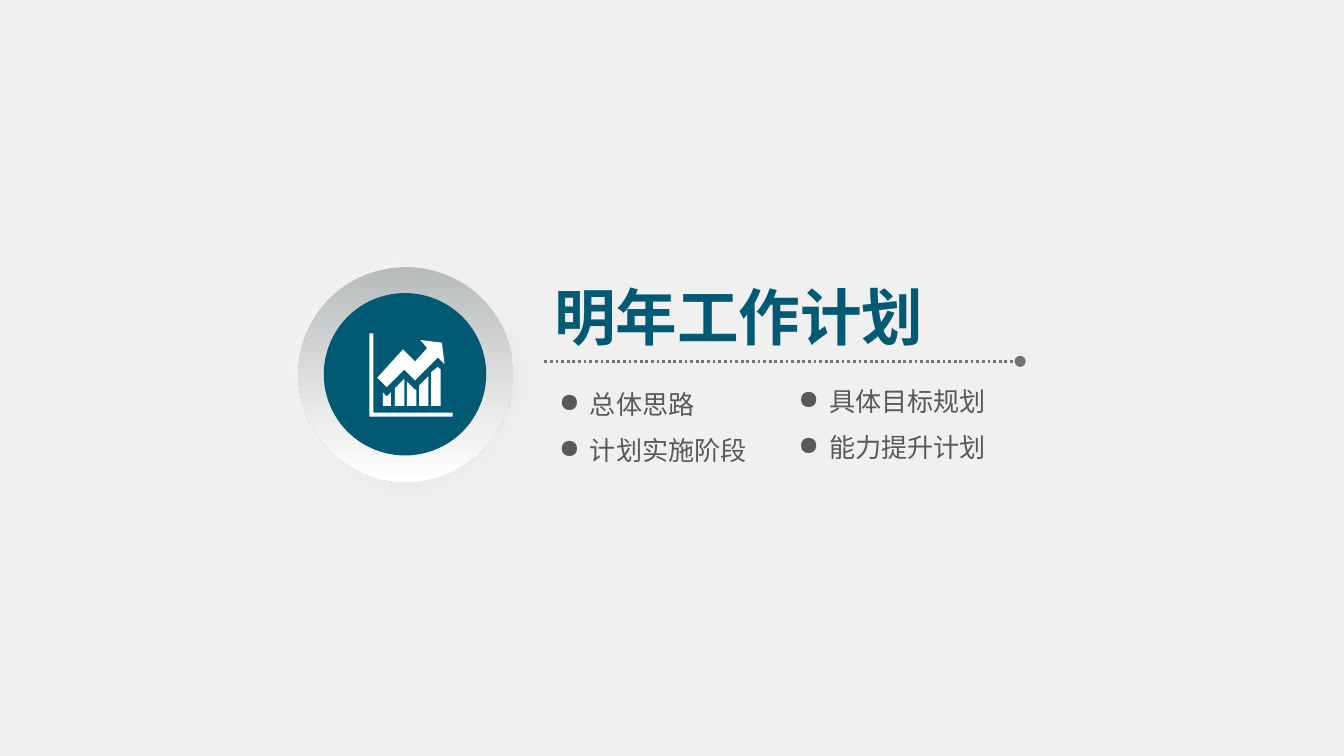
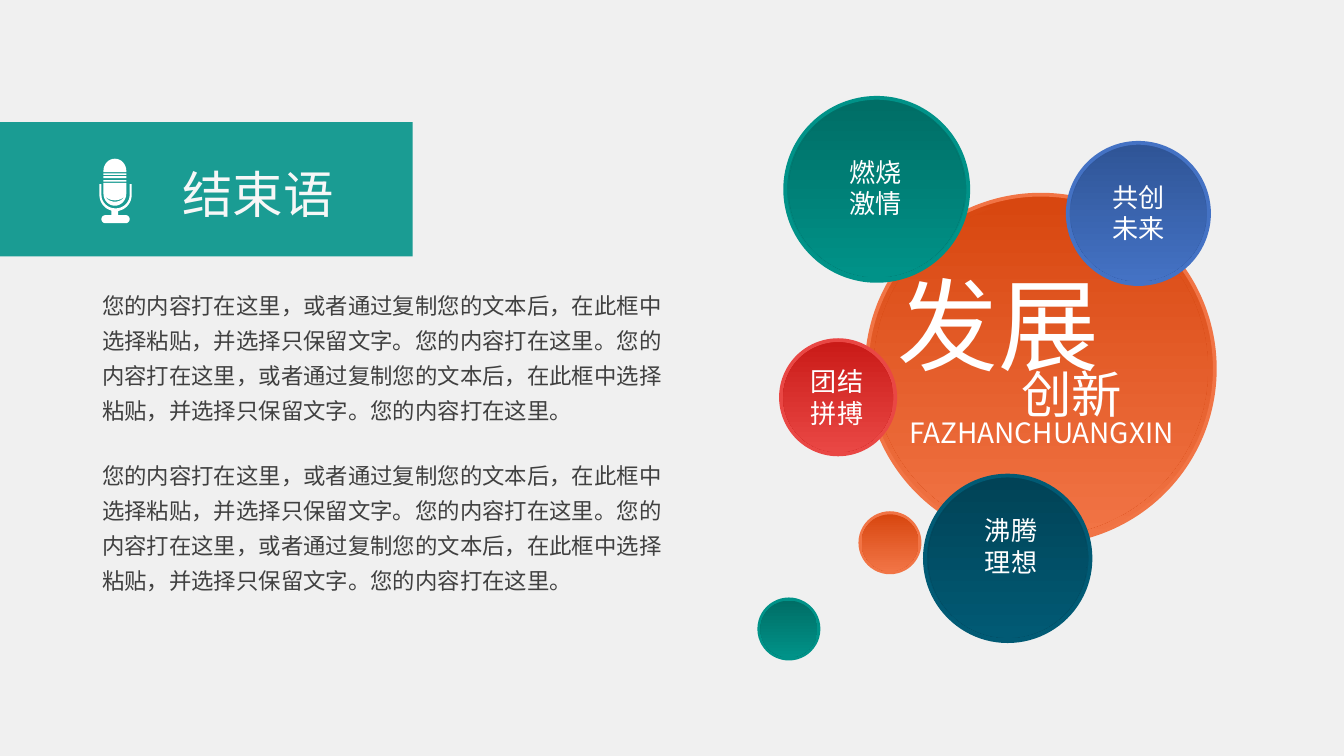
"""Build a section slide and a closing slide in one shared style."""
from dataclasses import dataclass
from math import cos, radians, sin

from lxml.etree import SubElement
from pptx import Presentation
from pptx.dml.color import RGBColor as RGB
from pptx.enum.dml import MSO_LINE as Dash
from pptx.enum.shapes import MSO_CONNECTOR as Conn, MSO_SHAPE as Shape
from pptx.enum.text import MSO_ANCHOR as Anchor, MSO_AUTO_SIZE as Auto, PP_ALIGN as Align
from pptx.oxml.ns import qn
from pptx.util import Cm, Pt


@dataclass(frozen=True)
class Theme:
    font: str = "Noto Sans CJK SC"
    paper: str = "F0F0F0"
    white: str = "FFFFFF"
    off_white: str = "F7F7F7"
    rule: str = "767171"
    item: str = "595959"
    body: str = "404040"
    halo: tuple = ("D9D9D9", "FFFFFF")
    ring: tuple = ("B8BBBC", "FFFFFF")
    orange: tuple = ("D84710", "F17445")
    blue: tuple = ("2F5597", "4472C4")
    teal: tuple = ("006E66", "009288")
    navy: tuple = ("014357", "015A74")
    red: tuple = ("CA1B18", "E94744")
    section_size: int = 33
    title_size: int = 27
    hero_size: int = 54
    caption_size: int = 15
    label_size: int = 14
    body_size: int = 12


def arc(cx, cy, rx, ry, start, end, steps=16):
    angles = [radians(start + (end - start) * i / steps) for i in range(steps + 1)]
    return [(cx + rx * cos(a), cy + ry * sin(a)) for a in angles]


def rect(left, top, right, bottom):
    return [(left, top), (right, top), (right, bottom), (left, bottom)]


CHART_ICON = [
    [(10, 44), (13, 47), (16, 44), (16, 54), (10, 54)],
    [(28, 36), (34, 42), (35, 42), (35, 54), (28, 54)],
    [(26, 34), (26, 54), (19, 54), (19, 41)],
    [(44, 32), (44, 54), (37, 54), (37, 39)],
    [(51, 25), (53, 27), (53, 54), (46, 54), (46, 29)],
    [(38, 5), (54, 7), (56, 23), (51, 18), (34, 35), (26, 27), (13, 40),
     (6, 33), (25, 12), (34, 21), (43, 11)],
    [(0, 0), (3, 0), (3, 59), (62, 59), (62, 62), (0, 62)],
]

MIC_ICON = [
    arc(11.5, 9, 8.5, 9, 180, 360) + [(20, 10), (3, 10)],
    rect(3, 11, 20, 12),
    rect(3, 13, 20, 14.5),
    rect(3, 16, 20, 17),
    [(3, 18), (20, 18)] + arc(11.5, 26, 8.5, 9, 0, 180),
    arc(11.5, 26, 7.5, 6, 180, 0) + arc(11.5, 26, 7.5, 5, 0, 180),
    [(0, 19), (1.5, 19)] + arc(12, 27, 10.5, 10, 180, 0) + [(22.5, 19), (24, 19)]
    + arc(12, 27, 12, 12, 0, 75) + [(14, 39), (14, 42)] + arc(19.5, 45, 3, 3, -90, 90)
    + arc(4.5, 45, 3, 3, 90, 270) + [(9, 42), (9, 39)] + arc(12, 27, 12, 12, 105, 180),
]


class Deck:
    def __init__(self, theme):
        self.theme = theme
        self.prs = Presentation()
        self.prs.slide_width, self.prs.slide_height = Cm(25.4), Cm(14.29)
        fill = self.prs.slide_master.background.fill
        fill.solid()
        fill.fore_color.rgb = RGB.from_string(theme.paper)
        self.s = None

    def new_slide(self):
        self.s = self.prs.slides.add_slide(self.prs.slide_layouts[5])

    def set_text(self, sp, text, size, color, bold=False, align=Align.LEFT, wrap=True,
                 inset=(0.25, 0.13), spacing=None, bullet=None):
        tf = sp.text_frame
        tf.text = text
        tf.word_wrap, tf.auto_size = wrap, Auto.SHAPE_TO_FIT_TEXT
        tf.vertical_anchor = Anchor.TOP
        tf.margin_left = tf.margin_right = Cm(inset[0])
        tf.margin_top = tf.margin_bottom = Cm(inset[1])
        for p in tf.paragraphs:
            p.alignment = align
            if spacing:
                p.line_spacing = spacing
            if bullet:
                pPr = p._p.get_or_add_pPr()
                pPr.set("marL", str(Cm(0.58)))
                pPr.set("indent", str(-Cm(0.58)))
                SubElement(pPr, qn("a:buChar")).set("char", bullet)
            for r in p.runs:
                r.font.name, r.font.size, r.font.bold = self.theme.font, Pt(size), bold
                r.font.color.rgb = RGB.from_string(color)
                SubElement(r._r.get_or_add_rPr(), qn("a:ea")).set("typeface", self.theme.font)

    def title(self, x, y, w, h, text, size, color, **style):
        sp = self.s.shapes.title
        sp.left, sp.top, sp.width, sp.height = Cm(x), Cm(y), Cm(w), Cm(h)
        self.s.shapes._spTree.append(sp._element)
        self.set_text(sp, text, size, color, wrap=False, **style)

    def text(self, x, y, w, h, text, size, color, **style):
        sp = self.s.shapes.add_textbox(Cm(x), Cm(y), Cm(w), Cm(h))
        self.set_text(sp, text, size, color, **style)

    def paint(self, sp, fill, line=None):
        sp.shadow.inherit = False
        if isinstance(fill, tuple):
            sp.fill.gradient()
            sp.fill.gradient_angle = 270
            for stop, color in zip(sp.fill.gradient_stops, fill):
                stop.color.rgb = RGB.from_string(color)
        else:
            sp.fill.solid()
            sp.fill.fore_color.rgb = RGB.from_string(fill)
        if line:
            sp.line.color.rgb, sp.line.width = RGB.from_string(line), Pt(2)
        else:
            sp.line.fill.background()

    def shape(self, kind, x, y, w, h, fill, line=None, adjust=None):
        sp = self.s.shapes.add_shape(kind, Cm(x), Cm(y), Cm(w), Cm(h))
        if adjust is not None:
            sp.adjustments[0] = adjust
        self.paint(sp, fill, line)
        return sp

    def band(self, x, y, w, h, fill, opacity):
        sp = self.shape(Shape.RECTANGLE, x, y, w, h, fill)
        color = sp._element.spPr.find(".//" + qn("a:srgbClr"))
        SubElement(color, qn("a:alpha")).set("val", str(opacity * 1000))

    def halo(self, x, y, d, fill):
        spPr = self.shape(Shape.OVAL, x, y, d, d, fill)._element.spPr
        grad = spPr.find(qn("a:gradFill"))
        grad.remove(grad.find(qn("a:lin")))
        radial = SubElement(grad, qn("a:path"))
        radial.set("path", "circle")
        focus = SubElement(radial, qn("a:fillToRect"))
        focus.set("l", "100000")
        focus.set("t", "100000")
        effects = spPr.find(qn("a:effectLst"))
        SubElement(effects, qn("a:softEdge")).set("rad", str(Cm(0.45)))

    def icon(self, x, y, contours, color):
        fine = [[(px * 100, py * 100) for px, py in points] for points in contours]
        builder = self.s.shapes.build_freeform(*fine[0][0], scale=Cm(0.0254) / 100)
        for points in fine:
            if points is not fine[0]:
                builder.move_to(*points[0])
            builder.add_line_segments(points[1:], close=True)
        self.paint(builder.convert_to_shape(Cm(x), Cm(y)), color)

    def dotted_rule(self, x1, x2, y, color):
        line = self.s.shapes.add_connector(Conn.STRAIGHT, Cm(x1), Cm(y), Cm(x2), Cm(y))
        line.line.color.rgb, line.line.width = RGB.from_string(color), Pt(1.5)
        line.line.dash_style = Dash.ROUND_DOT
        SubElement(line.line._get_or_add_ln(), qn("a:tailEnd")).set("type", "oval")
        SubElement(line._element.spPr, qn("a:effectLst"))

    def bubble(self, x, y, d, colors, label=None, box=None):
        gap = d * 0.02
        self.shape(Shape.DONUT, x, y, d, d, colors, line=colors[1], adjust=0.049)
        self.shape(Shape.OVAL, x + gap, y + gap, d - 2 * gap, d - 2 * gap, colors)
        if label:
            self.text(*box, 1.45, label, self.theme.label_size, self.theme.white,
                      align=Align.CENTER)


def plan_slide(deck):
    t = deck.theme
    deck.new_slide()
    deck.dotted_rule(10.29, 19.28, 6.83, t.rule)
    deck.title(10.29, 5.18, 7.44, 1.6, "明年工作计划", t.section_size, t.navy[1],
               bold=True, inset=(0.18, 0.1))
    columns = [(10.39, 7.24, ("总体思路", "计划实施阶段")),
               (14.91, 7.19, ("具体目标规划", "能力提升计划"))]
    for x, y, items in columns:
        for i, item in enumerate(items):
            deck.text(x, y + i * 0.87, 3.99, 0.79, item, t.label_size, t.item,
                      wrap=False, inset=(0.18, 0.1), bullet="●")
    deck.halo(5.11, 4.52, 5.11, t.halo)
    deck.shape(Shape.ROUNDED_RECTANGLE, 5.64, 5.05, 4.06, 4.06, t.ring, adjust=0.5)
    deck.shape(Shape.OVAL, 6.12, 5.54, 3.07, 3.07, t.navy[1])
    deck.icon(6.98, 6.3, CHART_ICON, t.white)


def closing_slide(deck):
    t = deck.theme
    deck.new_slide()
    deck.band(0, 2.31, 7.8, 2.54, t.teal[1], 89)
    deck.title(3.2, 2.95, 3.4, 1.42, "结束语", t.title_size, t.off_white)
    deck.icon(1.88, 3, MIC_ICON, t.white)

    bubbles = [
        (16.38, 3.68, 6.58, t.orange),
        (20.18, 2.7, 2.67, t.blue, "共创\n未来", (20.27, 3.3, 2.51)),
        (14.84, 1.85, 3.46, t.teal, "燃烧\n激情", (15.34, 2.82, 2.41)),
        (17.48, 8.99, 3.13, t.navy, "沸腾\n理想", (17.98, 9.6, 2.26)),
        (14.35, 11.33, 1.12, t.teal),
        (16.26, 9.7, 1.12, t.orange),
        (14.76, 6.43, 2.16, t.red, "团结\n拼搏", (14.78, 6.78, 2.08)),
    ]
    for bubble in bubbles:
        deck.bubble(*bubble)

    slogans = [
        (16.71, 4.83, 4.32, 2.54, "发展", t.hero_size),
        (19.05, 6.73, 2.41, 1.4, "创新", t.title_size),
        (16.69, 7.72, 5.99, 0.89, "FAZHANCHUANGXIN", t.caption_size),
    ]
    for slogan in slogans:
        deck.text(*slogan, t.white, align=Align.CENTER, wrap=False)

    message = ("您的内容打在这里，或者通过复制您的文本后，在此框中选择粘贴，"
               "并选择只保留文字。您的内容打在这里。") * 2
    for y in (5.28, 8.48):
        deck.text(1.73, y, 11.13, 3.53, message, t.body_size, t.body,
                  inset=(0.2, 0.1), spacing=1.3)


def main():
    deck = Deck(Theme())
    plan_slide(deck)
    closing_slide(deck)
    deck.prs.save("out.pptx")


if __name__ == "__main__":
    main()
